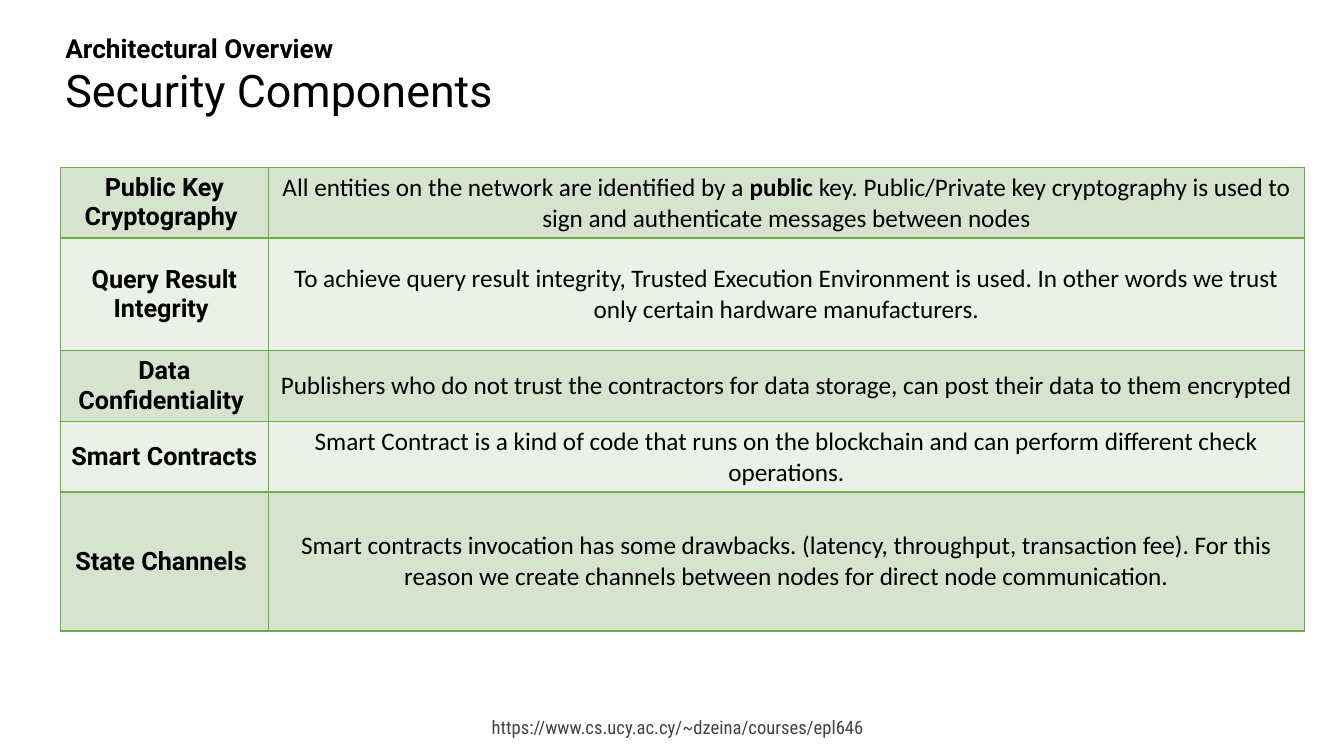
from dataclasses import dataclass

from lxml.etree import SubElement
from pptx import Presentation
from pptx.dml.color import RGBColor
from pptx.enum.text import MSO_ANCHOR as Anchor, PP_ALIGN as Align
from pptx.oxml.ns import qn
from pptx.util import Inches, Pt

FOOTER = "https://www.cs.ucy.ac.cy/~dzeina/courses/epl646"
SECTION = "Architectural Overview"
TITLE = "Security Components"

COMPONENTS = [
    ("Public Key Cryptography ", 0.7, [
        ("All entities on the network are identified by a ", False),
        ("public ", True),
        ("key. Public/Private key cryptography is used to sign and "
         "authenticate messages between nodes", False)]),
    ("Query Result Integrity ", 1.12, [
        ("To achieve query result integrity, Trusted Execution Environment is used. "
         "In other words we trust only certain hardware manufacturers.", False)]),
    ("Data Confidentiality ", 0.7, [
        ("Publishers who do not trust the contractors for data storage, "
         "can post their data to them encrypted", False)]),
    ("Smart Contracts ", 0.7, [
        ("Smart Contract is a kind of code that runs on the blockchain "
         "and can perform different check operations.", False)]),
    ("State Channels ", 1.38, [
        ("Smart contracts invocation has some drawbacks. (latency, throughput, "
         "transaction fee). For this reason we create channels between nodes "
         "for direct node communication.", False)]),
]
COLUMN_WIDTHS = (2.06, 10.28)
TABLE_LEFT, TABLE_TOP = 0.6, 1.66


@dataclass(frozen=True)
class Theme:
    heading_font: str = "Roboto"
    body_font: str = "Calibri"
    footer_font: str = "Roboto Condensed"
    ink: str = "000000"
    footer_ink: str = "434343"
    border: str = "70AD47"
    bands: tuple = ("D5E3CF", "EBF1E9")
    title_size: float = 32
    section_size: float = 18.7
    table_size: float = 18
    footer_size: float = 13.3
    border_width: float = 1


THEME = Theme()


def add_span(para, text, font, size, color=THEME.ink, bold=False):
    span = para.add_run()
    span.text = text
    span.font.name = font
    span.font.size = Pt(size)
    span.font.bold = bold
    span.font.color.rgb = RGBColor.from_string(color)


def add_text(page, place, text, font, size, color=THEME.ink, bold=False,
             align=Align.LEFT, anchor=Anchor.TOP, wrap=True, spacing=None):
    box = page.shapes.add_textbox(*map(Inches, place))
    frame = box.text_frame
    frame.word_wrap = wrap
    frame.vertical_anchor = anchor
    para = frame.paragraphs[0]
    para.alignment = align
    para.line_spacing = spacing
    add_span(para, text, font, size, color, bold)


def add_borders(cell):
    properties = cell._tc.get_or_add_tcPr()
    for side in ("lnL", "lnR", "lnT", "lnB"):
        line = SubElement(properties, qn(f"a:{side}"), w=str(Pt(THEME.border_width)))
        fill = SubElement(line, qn("a:solidFill"))
        SubElement(fill, qn("a:srgbClr"), val=THEME.border)


def fill_cell(cell, spans, font, band):
    add_borders(cell)
    cell.fill.solid()
    cell.fill.fore_color.rgb = RGBColor.from_string(band)
    cell.vertical_anchor = Anchor.MIDDLE
    para = cell.text_frame.paragraphs[0]
    para.alignment = Align.CENTER
    for text, bold in spans:
        add_span(para, text, font, THEME.table_size, bold=bold)


def add_components(page):
    height = sum(row_height for _, row_height, _ in COMPONENTS)
    table = page.shapes.add_table(
        len(COMPONENTS), len(COLUMN_WIDTHS), Inches(TABLE_LEFT), Inches(TABLE_TOP),
        Inches(sum(COLUMN_WIDTHS)), Inches(height)).table
    table.first_row = False
    table.horz_banding = False
    for column, width in zip(table.columns, COLUMN_WIDTHS):
        column.width = Inches(width)
    for index, (name, row_height, description) in enumerate(COMPONENTS):
        band = THEME.bands[index % len(THEME.bands)]
        table.rows[index].height = Inches(row_height)
        fill_cell(table.cell(index, 0), [(name, True)], THEME.heading_font, band)
        fill_cell(table.cell(index, 1), description, THEME.body_font, band)


def main():
    deck = Presentation()
    deck.slide_width, deck.slide_height = Inches(13.33), Inches(7.5)
    page = deck.slides.add_slide(deck.slide_layouts[6])
    add_text(page, (4.4, 7.05, 4.27, 0.33), FOOTER, THEME.footer_font,
             THEME.footer_size, THEME.footer_ink, align=Align.RIGHT)
    add_text(page, (0.55, 0.27, 3.14, 0.73), SECTION, THEME.heading_font,
             THEME.section_size, bold=True, wrap=False)
    add_text(page, (0.55, 0.62, 11.5, 0.6), TITLE, THEME.heading_font,
             THEME.title_size, anchor=Anchor.MIDDLE, spacing=0.9)
    add_components(page)
    deck.save("out.pptx")


if __name__ == "__main__":
    main()
